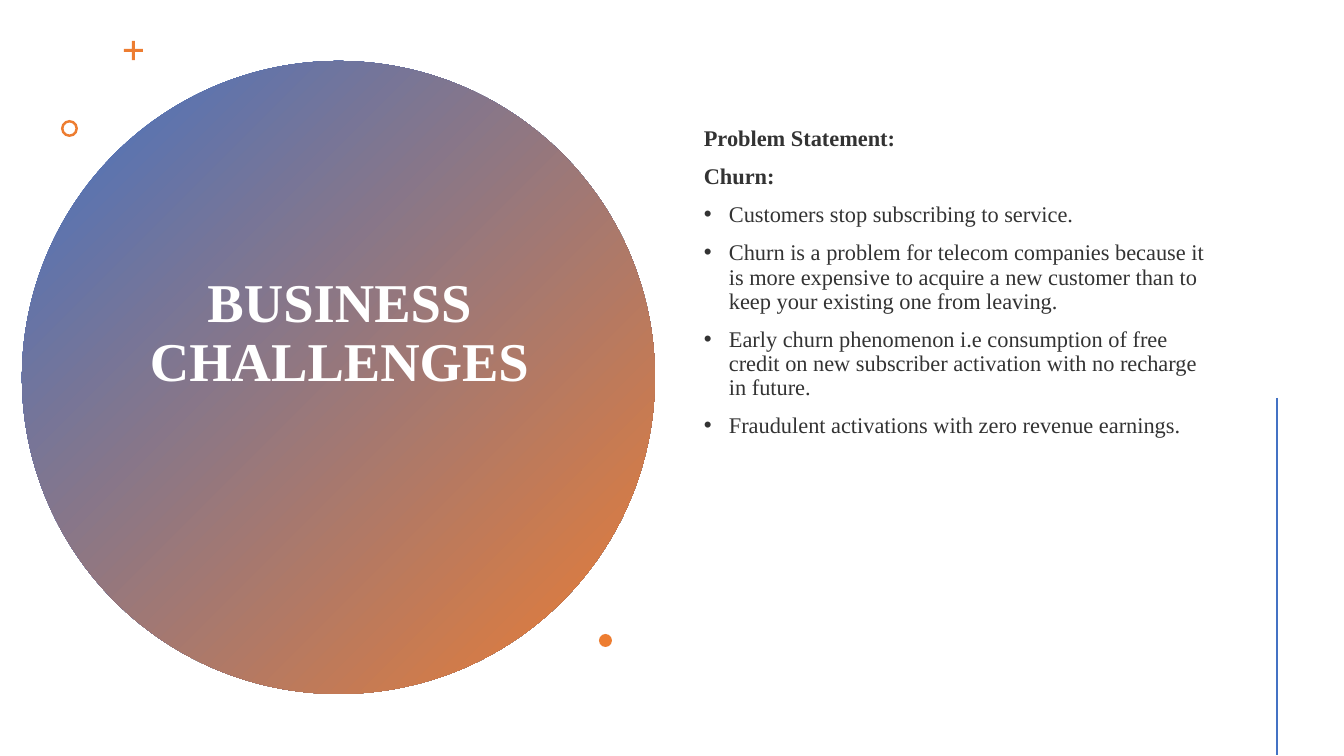
"""Build the Business Challenges slide."""
from lxml.etree import SubElement
from pptx import Presentation
from pptx.dml.color import RGBColor
from pptx.enum.shapes import MSO_CONNECTOR as Connector, MSO_SHAPE as Shape
from pptx.enum.text import MSO_ANCHOR as Anchor, MSO_AUTO_SIZE as AutoSize, PP_ALIGN as Align
from pptx.oxml.ns import qn
from pptx.util import Pt

PX = 914400 * 10 // 1008
BLUE, ORANGE, WHITE, GREY = "4472C4", "ED7D31", "FFFFFF", "333333"
rgb = RGBColor.from_string


def px(*lengths):
    return [round(length * PX) for length in lengths]


def write(para, text, size, color, bold=False, align=Align.LEFT, before=0, bullet=False):
    para.alignment = align
    para.line_spacing = 0.9
    para.space_before = Pt(before)
    span = para.add_run()
    span.text = text
    font = span.font
    font.name, font.size, font.bold = "Times New Roman", Pt(size), bold
    font.color.rgb = rgb(color)
    if bullet:
        properties = para._p.get_or_add_pPr()
        indent = px(25)[0]
        properties.set("marL", str(indent))
        properties.set("indent", str(-indent))
        SubElement(properties, qn("a:buFont"), typeface="Arial")
        SubElement(properties, qn("a:buChar"), char="•")


deck = Presentation()
deck.slide_width, deck.slide_height = px(1344, 756)
page = deck.slides.add_slide(deck.slide_layouts[5])

circle = page.shapes.add_shape(Shape.OVAL, *px(22, 61, 633, 633))
circle.shadow.inherit = False
circle.line.fill.background()
circle.fill.gradient()
circle.fill.gradient_angle = 315
for stop, color, position in zip(circle.fill.gradient_stops, (BLUE, ORANGE), (0, 1)):
    stop.color.rgb = rgb(color)
    stop.position = position

title = page.shapes.title
circle.element.addnext(title.element)
title.left, title.top, title.width, title.height = px(137, 142, 405, 384)
title.text_frame.word_wrap = True
title.text_frame.auto_size = AutoSize.NONE
title.text_frame.vertical_anchor = Anchor.MIDDLE
write(title.text_frame.paragraphs[0], "BUSINESS CHALLENGES", 39, WHITE,
      bold=True, align=Align.CENTER)

accents = [
    (Shape.CROSS, (124, 41, 19, 19), 0.42),
    (Shape.DONUT, (61, 120, 17, 17), 0.15),
    (Shape.OVAL, (599, 634, 13, 13), None),
]
for kind, place, adjustment in accents:
    accent = page.shapes.add_shape(kind, *px(*place))
    accent.shadow.inherit = False
    accent.fill.solid()
    accent.fill.fore_color.rgb = rgb(ORANGE)
    accent.line.fill.background()
    if adjustment is not None:
        accent.adjustments[0] = adjustment

statement = [
    ("Problem Statement:", True),
    ("Churn:", True),
    ("Customers stop subscribing to service.", False),
    ("Churn is a problem for telecom companies because it is more expensive to acquire "
     "a new customer than to keep your existing one from leaving.", False),
    ("Early churn phenomenon i.e consumption of free credit on new subscriber activation "
     "with no recharge in future.", False),
    ("Fraudulent activations with zero revenue earnings.", False),
]
body = page.shapes.add_textbox(*px(694, 90, 526, 515)).text_frame
body.word_wrap = True
body.margin_top = px(37)[0]
for index, (text, heading) in enumerate(statement):
    para = body.add_paragraph() if index else body.paragraphs[0]
    write(para, text, 16, GREY, bold=heading, before=10, bullet=not heading)

rule = page.shapes.add_connector(Connector.STRAIGHT, *px(1277, 398, 1277, 755))
rule.line.color.rgb = rgb(BLUE)
rule.line.width = Pt(2)
SubElement(rule.element.spPr, qn("a:effectLst"))

deck.save("out.pptx")
